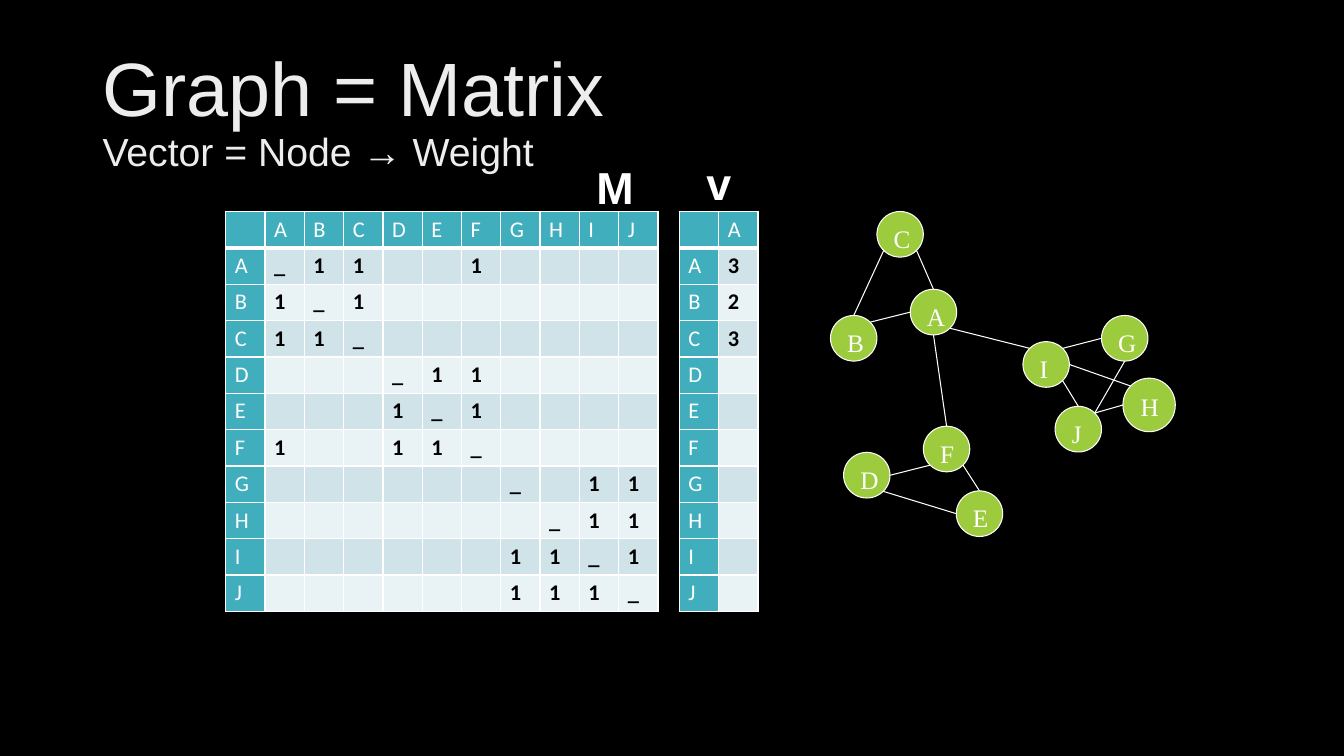
from copy import deepcopy
from dataclasses import dataclass
from math import cos, radians, sin

from lxml.etree import SubElement
from pptx import Presentation
from pptx.dml.color import RGBColor
from pptx.enum.shapes import MSO_CONNECTOR as Connector, MSO_SHAPE as Shape
from pptx.enum.text import MSO_ANCHOR as Anchor, MSO_AUTO_SIZE as AutoSize, PP_ALIGN as Align
from pptx.oxml.ns import qn
from pptx.util import Cm, Pt


@dataclass(frozen=True)
class Theme:
    background: str = "000000"
    white: str = "FFFFFF"
    value: str = "000000"
    header: str = "41AEBD"
    bands: tuple = ("E9F2F4", "CFE3E8")
    node: str = "9CCC3E"
    title_stops: tuple = ((0, "BFBFBF"), (0.28, "EDEDED"), (1, "FFFFFF"))
    heading_font: str = "Arial"
    table_font: str = "Calibri"
    node_font: str = "Times New Roman"
    title_size: int = 54
    subtitle_size: int = 28
    label_size: int = 32
    table_size: int = 16
    node_size: int = 18
    line_width: float = 0.75
    border_width: int = 1
    header_border_width: int = 3


THEME = Theme()

NAMES = "ABCDEFGHIJ"
MATRIX = [
    "_11  1    ",
    "1_1       ",
    "11_       ",
    "   _11    ",
    "   1_1    ",
    "1  11_    ",
    "      _ 11",
    "       _11",
    "      11_1",
    "      111_",
]
VECTOR = "323       "
TABLE_TOP, TABLE_HEIGHT, COLUMN_WIDTH = 5.33, 10.08, 0.99

NODE_SIZE = (1.17, 1.15)
NODES = {
    "A": (22.94, 7.29, *NODE_SIZE),
    "B": (20.93, 7.95, *NODE_SIZE),
    "C": (22.1, 5.33, *NODE_SIZE),
    "D": (21.26, 11.4, *NODE_SIZE),
    "E": (24.1, 12.37, *NODE_SIZE),
    "F": (23.27, 10.74, *NODE_SIZE),
    "G": (27.76, 7.95, *NODE_SIZE),
    "H": (28.3, 9.53, 1.32, 1.35),
    "I": (25.78, 8.61, *NODE_SIZE),
    "J": (26.59, 10.24, *NODE_SIZE),
}
COMPASS = {"E": 0, "SE": 45, "S": 90, "SW": 135, "W": 180, "NW": 225, "N": 270, "NE": 315}
# Each edge: node and compass side where it starts, then where it ends.
EDGES = [
    ("B", "N", "C", "SW"),
    ("A", "W", "B", "NE"),
    ("A", "SE", "I", "NW"),
    ("I", "E", "H", "NW"),
    ("G", "W", "I", "NE"),
    ("J", "N", "I", "SE"),
    ("D", "E", "F", "SW"),
    ("F", "SE", "E", "N"),
    ("A", "S", "F", "N"),
    ("J", "NE", "H", "W"),
    ("C", "SE", "A", "N"),
    ("D", "SE", "E", "W"),
    ("G", "S", "J", "NE"),
]


def set_attributes(target, values):
    for name, value in values.items():
        setattr(target, name, value)


def format_font(font, name, size, color=None, bold=False):
    set_attributes(font, {"name": name, "size": Pt(size), "bold": bold})
    if color:
        font.color.rgb = RGBColor.from_string(color)


def paint(fill, color):
    fill.solid()
    fill.fore_color.rgb = RGBColor.from_string(color)


def paint_title_gradient(fill):
    fill.gradient()
    fill.gradient_angle = 280
    first_stop = fill.gradient_stops[0]._gs
    first_stop.addnext(deepcopy(first_stop))
    for stop, (position, color) in zip(fill.gradient_stops, THEME.title_stops):
        stop.position = position
        stop.color.rgb = RGBColor.from_string(color)


def set_title(slide, title, subtitle):
    shape = slide.shapes.title
    set_attributes(shape, {"left": Cm(2.33), "top": Cm(1.01), "width": Cm(29.21), "height": Cm(3.68)})
    frame = shape.text_frame
    set_attributes(frame, {"vertical_anchor": Anchor.MIDDLE, "auto_size": AutoSize.NONE, "word_wrap": True})
    paragraph = frame.paragraphs[0]
    set_attributes(paragraph, {"alignment": Align.LEFT, "line_spacing": 0.9})
    for text, size in ((title, THEME.title_size), (subtitle, THEME.subtitle_size)):
        if paragraph.runs:
            paragraph.add_line_break()
        run = paragraph.add_run()
        run.text = text
        format_font(run.font, THEME.heading_font, size)
        paint_title_gradient(run.font.fill)


def add_label(slide, text, left, top, width):
    frame = slide.shapes.add_textbox(Cm(left), Cm(top), Cm(width), Cm(1.6)).text_frame
    set_attributes(frame, {"word_wrap": False, "auto_size": AutoSize.SHAPE_TO_FIT_TEXT})
    run = frame.paragraphs[0].add_run()
    run.text = text
    format_font(run.font, THEME.heading_font, THEME.label_size, THEME.white, bold=True)


def add_borders(cell, bottom_width):
    properties = cell._tc.get_or_add_tcPr()
    for side in "LRTB":
        width = bottom_width if side == "B" else THEME.border_width
        line = SubElement(properties, qn(f"a:ln{side}"), w=str(Pt(width)))
        SubElement(SubElement(line, qn("a:solidFill")), qn("a:srgbClr"), val=THEME.white)


def fill_cell(cell, text, row, column):
    is_header = row == 0 or column == 0
    add_borders(cell, THEME.header_border_width if row == 0 else THEME.border_width)
    paint(cell.fill, THEME.header if is_header else THEME.bands[row % 2])
    set_attributes(cell, {"margin_left": Cm(0.23), "margin_right": Cm(0.23),
                          "margin_top": Cm(0.11), "margin_bottom": Cm(0.11)})
    paragraph = cell.text_frame.paragraphs[0]
    if text.strip():
        run = paragraph.add_run()
        run.text = text
        color = THEME.white if is_header else THEME.value
        format_font(run.font, THEME.table_font, THEME.table_size, color, bold=not is_header)
    else:
        SubElement(paragraph._p, qn("a:endParaRPr"), sz=str(THEME.table_size * 100))


def add_node_table(slide, left, column_names, value_rows):
    """Add a table with one row per node and a header row and column."""
    rows = [" " + column_names] + [name + values for name, values in zip(NAMES, value_rows)]
    columns = len(rows[0])
    frame = slide.shapes.add_table(len(rows), columns, Cm(left), Cm(TABLE_TOP),
                                   Cm(COLUMN_WIDTH * columns), Cm(TABLE_HEIGHT))
    for row, texts in enumerate(rows):
        for column, text in enumerate(texts):
            fill_cell(frame.table.cell(row, column), text, row, column)


def format_line(line):
    paint(line.fill, THEME.white)
    line.width = Pt(THEME.line_width)


def add_node(slide, name):
    shape = slide.shapes.add_shape(Shape.OVAL, *map(Cm, NODES[name]))
    shape.shadow.inherit = False
    paint(shape.fill, THEME.node)
    format_line(shape.line)
    shape.text_frame.vertical_anchor = Anchor.TOP
    paragraph = shape.text_frame.paragraphs[0]
    paragraph.alignment = Align.LEFT
    run = paragraph.add_run()
    run.text = name
    format_font(run.font, THEME.node_font, THEME.node_size, THEME.white)


def rim_point(name, side):
    """Return the point on a node's outline that lies in a compass direction."""
    left, top, width, height = NODES[name]
    angle = radians(COMPASS[side])
    return Cm(left + width / 2 * (1 + cos(angle))), Cm(top + height / 2 * (1 + sin(angle)))


def add_edge(slide, start, start_side, end, end_side):
    connector = slide.shapes.add_connector(
        Connector.STRAIGHT, *rim_point(start, start_side), *rim_point(end, end_side))
    format_line(connector.line)
    SubElement(connector._element.spPr, qn("a:effectLst"))


def main():
    presentation = Presentation()
    set_attributes(presentation, {"slide_width": Cm(33.87), "slide_height": Cm(19.05)})
    slide = presentation.slides.add_slide(presentation.slide_layouts[5])
    paint(slide.background.fill, THEME.background)
    set_title(slide, "Graph = Matrix", "Vector = Node → Weight")
    add_node_table(slide, 5.69, NAMES, MATRIX)
    for name in NODES:
        add_node(slide, name)
    for edge in EDGES:
        add_edge(slide, *edge)
    add_node_table(slide, 17.12, "A", VECTOR)
    add_label(slide, "M", 14.78, 3.91, 1.42)
    add_label(slide, "v", 17.55, 3.81, 1.09)
    presentation.save("out.pptx")


if __name__ == "__main__":
    main()
